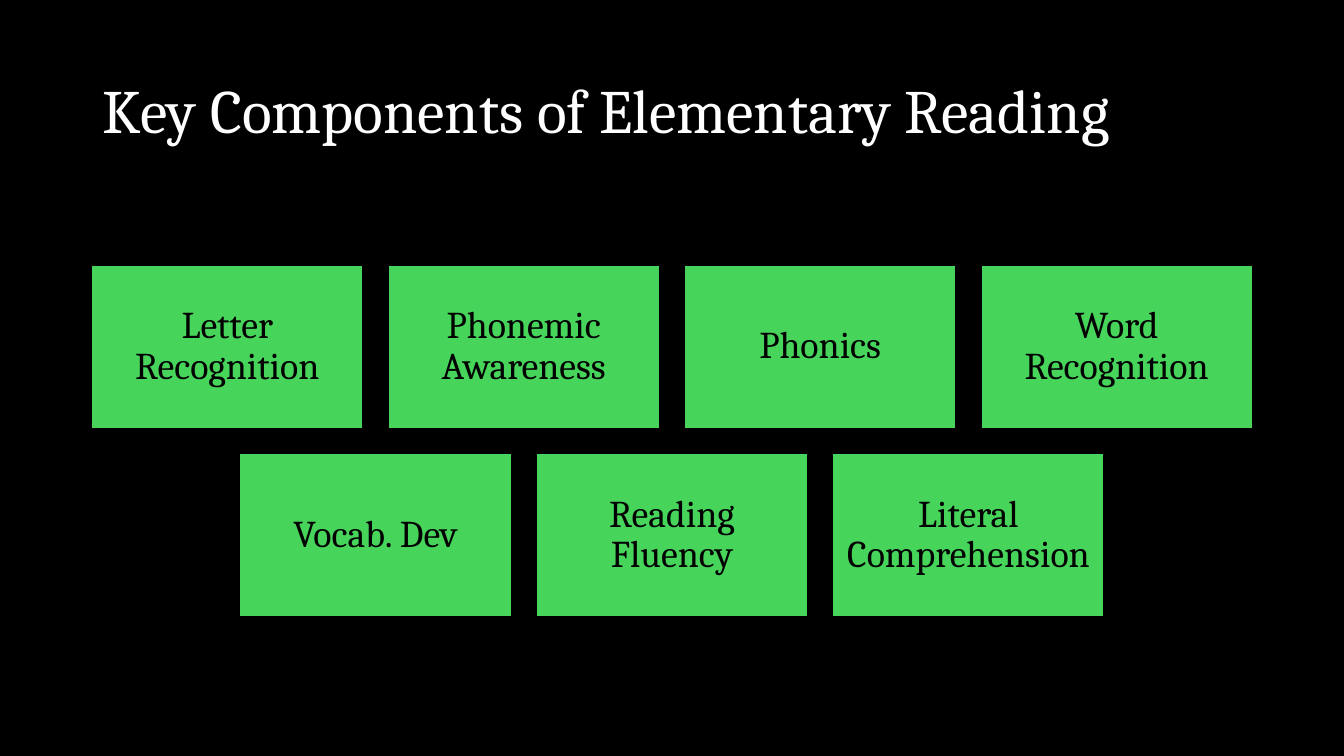
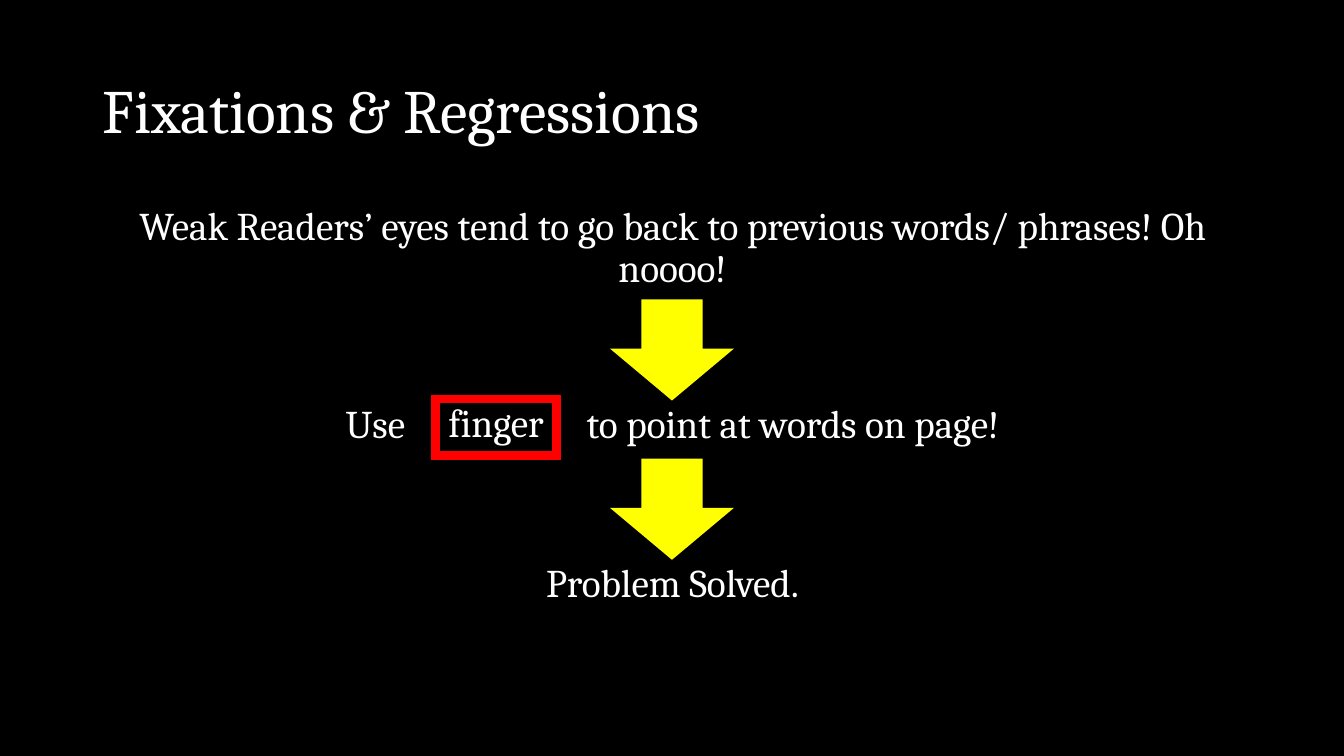
from dataclasses import dataclass

from lxml import etree
from pptx import Presentation
from pptx import util as u
from pptx.dml.color import RGBColor
from pptx.enum import shapes, text
from pptx.oxml.ns import qn

COLORS = {
    "background": "000000",
    "light": "FFFFFF",
    "dark": "000000",
    "card": "47D45A",
    "arrow": "FFFF00",
    "highlight": "FF0000",
}
FONT = "Cambria"
SLIDE_WIDTH, SLIDE_HEIGHT = 13.33, 7.5
MARGIN, CONTENT_WIDTH = 0.92, 11.5
CARD_WIDTH, CARD_HEIGHT, CARD_GAP, CARDS_TOP = 2.67, 1.6, 0.27, 2.64
ARROW_WIDTH, ARROW_HEIGHT = 1.17, 0.98
ARROW_TOPS = (2.98, 4.56)
ADVICE_TOP = 3.96

COMPONENT_ROWS = (
    ("Letter Recognition", "Phonemic Awareness", "Phonics", "Word Recognition"),
    ("Vocab. Dev", "Reading Fluency", "Literal Comprehension"),
)


@dataclass(frozen=True)
class Box:
    left: float
    top: float
    width: float
    height: float


TITLE_BOX = Box(MARGIN, 0.4, CONTENT_WIDTH, 1.45)
PROBLEM_BOX = Box(MARGIN, 2, CONTENT_WIDTH, 0.98)
USE_BOX = Box(3.33, ADVICE_TOP, 0.9, 0.59)
FINGER_BOX = Box(4.32, ADVICE_TOP, 1.2, 0.56)
POINT_BOX = Box(5.72, ADVICE_TOP, 4.5, 0.59)
RESULT_BOX = Box(MARGIN, 5.54, CONTENT_WIDTH, 0.98)


def rgb(name: str) -> RGBColor:
    return RGBColor.from_string(COLORS[name])


def place(shape, box: Box) -> None:
    shape.left, shape.top = u.Inches(box.left), u.Inches(box.top)
    shape.width, shape.height = u.Inches(box.width), u.Inches(box.height)


def write(shape, wording: str, *, size: float = 28, color: str = "light",
          align=text.PP_ALIGN.CENTER, anchor=text.MSO_ANCHOR.TOP,
          inset: float | None = None) -> None:
    """Fill a shape with one unbulleted paragraph."""
    frame = shape.text_frame
    frame.word_wrap = True
    frame.auto_size = text.MSO_AUTO_SIZE.NONE
    frame.vertical_anchor = anchor
    if inset is not None:
        frame.margin_left = frame.margin_right = u.Inches(inset)
        frame.margin_top = frame.margin_bottom = u.Inches(inset)

    paragraph = frame.paragraphs[0]
    properties = paragraph._p.get_or_add_pPr()
    properties.set("marL", "0")
    properties.set("indent", "0")
    etree.SubElement(properties, qn("a:buNone"))
    paragraph.alignment = align
    paragraph.line_spacing = 0.9
    paragraph.space_before = u.Pt(0)

    run = paragraph.add_run()
    run.text = wording
    run.font.name = FONT
    run.font.size = u.Pt(size)
    run.font.color.rgb = rgb(color)


def add_text(slide, box: Box, wording: str, **text_format) -> None:
    label = slide.shapes.add_textbox(0, 0, 0, 0)
    place(label, box)
    write(label, wording, **text_format)


def add_figure(slide, preset, box: Box, *, line: str, line_width: float,
               fill: str | None = None):
    """Draw a preset shape with sharp outline corners and no shadow."""
    figure = slide.shapes.add_shape(preset, 0, 0, 0, 0)
    place(figure, box)
    figure.shadow.inherit = False
    if fill:
        figure.fill.solid()
        figure.fill.fore_color.rgb = rgb(fill)
    else:
        figure.fill.background()
    figure.line.color.rgb = rgb(line)
    figure.line.width = u.Pt(line_width)
    outline = figure._element.spPr.find(qn("a:ln"))
    etree.SubElement(outline, qn("a:miter"), lim="800000")
    return figure


def add_titled_slide(deck, layout_index: int, title: str):
    slide = deck.slides.add_slide(deck.slide_layouts[layout_index])
    place(slide.shapes.title, TITLE_BOX)
    write(slide.shapes.title, title, size=44, align=text.PP_ALIGN.LEFT,
          anchor=text.MSO_ANCHOR.MIDDLE)
    return slide


def build_components(deck) -> None:
    slide = add_titled_slide(deck, 5, "Key Components of Elementary Reading")
    for row, names in enumerate(COMPONENT_ROWS):
        row_width = len(names) * (CARD_WIDTH + CARD_GAP) - CARD_GAP
        row_left = (SLIDE_WIDTH - row_width) / 2
        top = CARDS_TOP + row * (CARD_HEIGHT + CARD_GAP)
        for column, name in enumerate(names):
            left = row_left + column * (CARD_WIDTH + CARD_GAP)
            card = add_figure(slide, shapes.MSO_SHAPE.RECTANGLE,
                              Box(left, top, CARD_WIDTH, CARD_HEIGHT),
                              fill="card", line="card", line_width=0.75)
            write(card, name, size=27, color="dark", inset=0.11,
                  anchor=text.MSO_ANCHOR.MIDDLE)


def build_fixations(deck) -> None:
    slide = add_titled_slide(deck, 1, "Fixations & Regressions")
    problem = slide.placeholders[1]
    place(problem, PROBLEM_BOX)
    write(problem, "Weak Readers’ eyes tend to go back to previous words/ phrases! Oh noooo!")

    add_text(slide, USE_BOX, "Use", align=text.PP_ALIGN.LEFT)
    finger = add_figure(slide, shapes.MSO_SHAPE.RECTANGLE, FINGER_BOX,
                        line="highlight", line_width=6)
    write(finger, "finger", inset=0.05)
    add_text(slide, POINT_BOX, "to point at words on page!",
             align=text.PP_ALIGN.LEFT)
    add_text(slide, RESULT_BOX, "Problem Solved.")

    arrow_left = (SLIDE_WIDTH - ARROW_WIDTH) / 2
    for top in ARROW_TOPS:
        add_figure(slide, shapes.MSO_SHAPE.DOWN_ARROW,
                   Box(arrow_left, top, ARROW_WIDTH, ARROW_HEIGHT),
                   fill="arrow", line="arrow", line_width=1.5)


def main() -> None:
    deck = Presentation()
    deck.slide_width = u.Inches(SLIDE_WIDTH)
    deck.slide_height = u.Inches(SLIDE_HEIGHT)
    background = deck.slide_master.background.fill
    background.solid()
    background.fore_color.rgb = rgb("background")
    build_components(deck)
    build_fixations(deck)
    deck.save("out.pptx")


if __name__ == "__main__":
    main()
